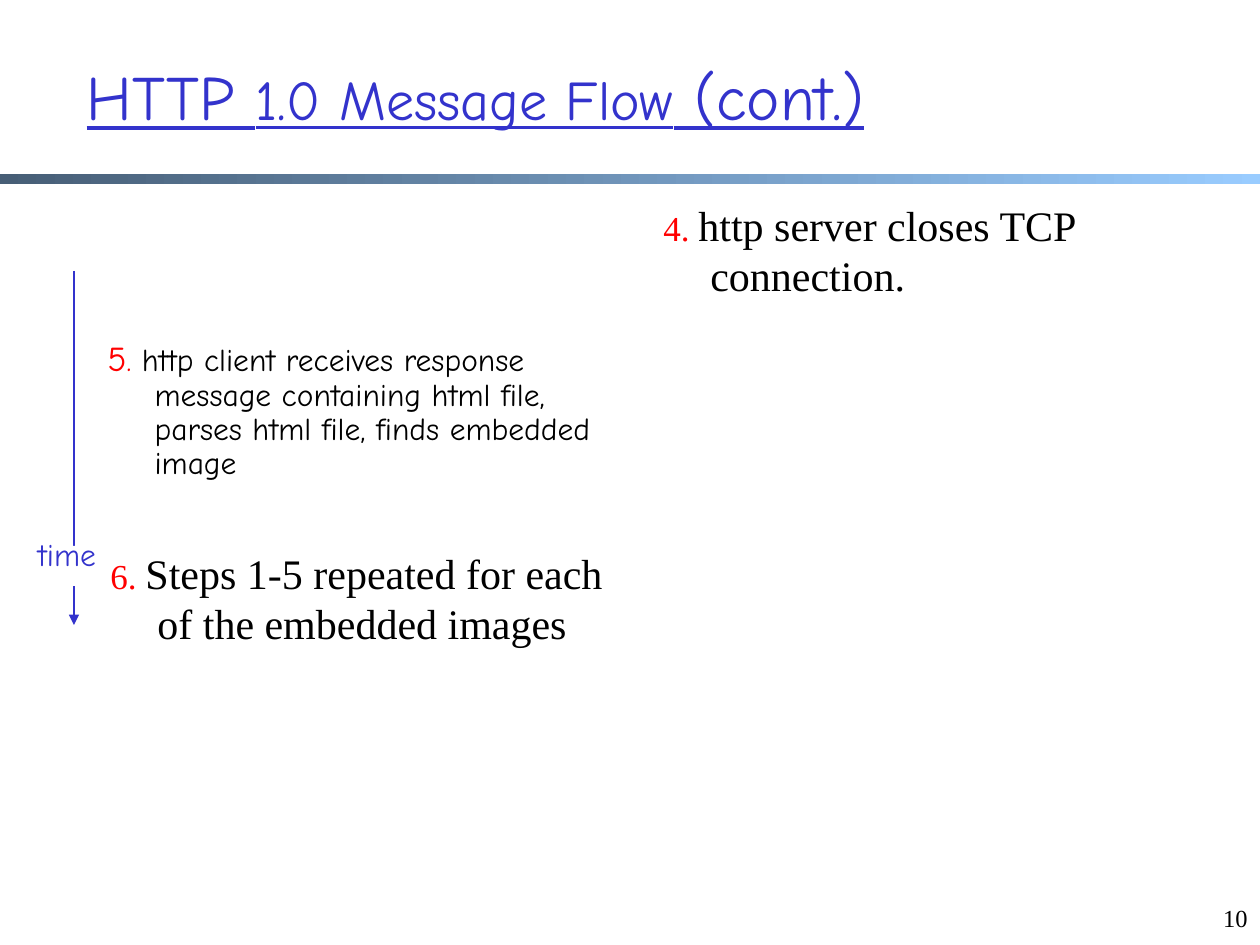
from pptx import Presentation
from pptx.dml.color import RGBColor
from pptx.enum.shapes import MSO_CONNECTOR, MSO_SHAPE
from pptx.enum.text import MSO_ANCHOR as Anchor, MSO_AUTO_SIZE as AutoSize, PP_ALIGN as Align
from pptx.oxml.ns import qn
from pptx.util import Emu, Inches, Pt
from lxml import etree

SCALE = Inches(1) / 126
BLUE = RGBColor(0x33, 0x33, 0xCC)
RED = RGBColor(0xFF, 0x00, 0x00)
BLACK = RGBColor(0x00, 0x00, 0x00)
WHITE = RGBColor(0xFF, 0xFF, 0xFF)
SLATE = RGBColor(0x47, 0x5E, 0x76)
SKY = RGBColor(0x99, 0xCC, 0xFF)
COMIC, TIMES = "Comic Neue", "Times New Roman"


def px(*lengths):
    """Turn pixel lengths into EMU."""
    return [Emu(round(length * SCALE)) for length in lengths]


def place(part, box):
    """Move a part to a box of left, top, width and height in pixels."""
    part.left, part.top, part.width, part.height = px(*box)


def write(paragraph, font_name, runs):
    """Fill a paragraph with runs of text, size and colour."""
    paragraph.font.name = font_name
    for words, size, color in runs:
        run = paragraph.add_run()
        run.text = words
        run.font.size = Pt(size)
        run.font.color.rgb = color


def add_label(slide, box, words, font_name, size, color, align, wrap):
    """Add a one-line label."""
    label = slide.shapes.add_textbox(*px(*box))
    label.text_frame.word_wrap = wrap
    paragraph = label.text_frame.paragraphs[0]
    paragraph.alignment = align
    write(paragraph, font_name, [(words, size, color)])


def add_block(slide, box):
    """Add a rectangle without line or shadow and return it."""
    block = slide.shapes.add_shape(MSO_SHAPE.RECTANGLE, *px(*box))
    block.shadow.inherit = False
    block.line.fill.background()
    return block


def add_divider(slide, box):
    """Draw the gradient bar below the title."""
    fill = add_block(slide, box).fill
    fill.gradient()
    fill.gradient_angle = 0
    for stop, color, position in zip(fill.gradient_stops, (SLATE, SKY), (0, 1)):
        stop.color.rgb = color
        stop.position = position


def set_title(title, box):
    """Place and write the underlined heading."""
    place(title, box)
    frame = title.text_frame
    frame.auto_size = AutoSize.NONE
    frame.vertical_anchor = Anchor.MIDDLE
    heading = frame.paragraphs[0]
    heading.alignment = Align.LEFT
    heading.font.underline = True
    write(heading, COMIC, [("HTTP ", 36, BLUE), ("1.0 Message Flow", 32, BLUE),
                           (" (cont.)", 36, BLUE)])
    for run in heading.runs:
        run.font.underline = True


def fill_step(step, box, font_name, runs, line_spacing=None):
    """Place and write one numbered step with a hanging indent."""
    place(step, box)
    frame = step.text_frame
    frame.word_wrap = True
    frame.auto_size = AutoSize.NONE
    paragraph = frame.paragraphs[0]
    paragraph.space_before = Pt(4)
    paragraph.line_spacing = line_spacing
    write(paragraph, font_name, runs)
    properties = paragraph._p.get_or_add_pPr()
    indent = px(47)[0]
    properties.set("marL", str(indent))
    properties.set("indent", str(-indent))
    etree.SubElement(properties, qn("a:buNone"))
    default_font = properties.find(qn("a:defRPr"))
    if default_font is not None:
        properties.append(default_font)


def add_timeline(slide, box):
    """Draw the downward time arrow with its label in a gap."""
    left, top, width, height = box
    middle = left + 63
    arrow = slide.shapes.add_connector(
        MSO_CONNECTOR.STRAIGHT, *px(middle, top, middle, top + height))
    arrow.line.color.rgb = BLUE
    arrow.line.width = Pt(1.5)
    etree.SubElement(arrow.line._get_or_add_ln(), qn("a:tailEnd"), type="triangle")
    etree.SubElement(arrow._element.spPr, qn("a:effectLst"))
    gap = add_block(slide, (left + 31, top + 275, 48, 40))
    gap.fill.solid()
    gap.fill.fore_color.rgb = WHITE
    add_label(slide, (left, top + 258, width, 63), "time", COMIC, 18, BLUE,
              Align.CENTER, False)


def build_slide(deck):
    """Build the message flow slide."""
    slide = deck.slides.add_slide(deck.slide_layouts[1])
    add_divider(slide, (0, 174, 1260, 10))
    add_label(slide, (1197, 897, 63, 63), "10", TIMES, 14, BLACK, Align.RIGHT, True)
    set_title(slide.shapes.title, (74, 35, 1071, 120))
    fill_step(slide.placeholders[1], (95, 335, 525, 212), COMIC, [
        ("5", 20, RED), (".", 18, RED),
        (" http client receives response message containing html file, "
         "parses html file, finds embedded image", 18, BLACK)], 0.9)
    for box, number, words in (
            ((98, 541, 525, 92), "6. ", "Steps 1-5 repeated for each of the embedded images"),
            ((651, 193, 525, 101), "4. ", "http server closes TCP connection. ")):
        fill_step(slide.shapes.add_textbox(*px(*box)), box, TIMES,
                  [(number, 20, RED), (words, 24, BLACK)])
    add_timeline(slide, (11, 271, 112, 354))


deck = Presentation()
deck.slide_width, deck.slide_height = px(1260, 945)
build_slide(deck)
deck.save("out.pptx")
